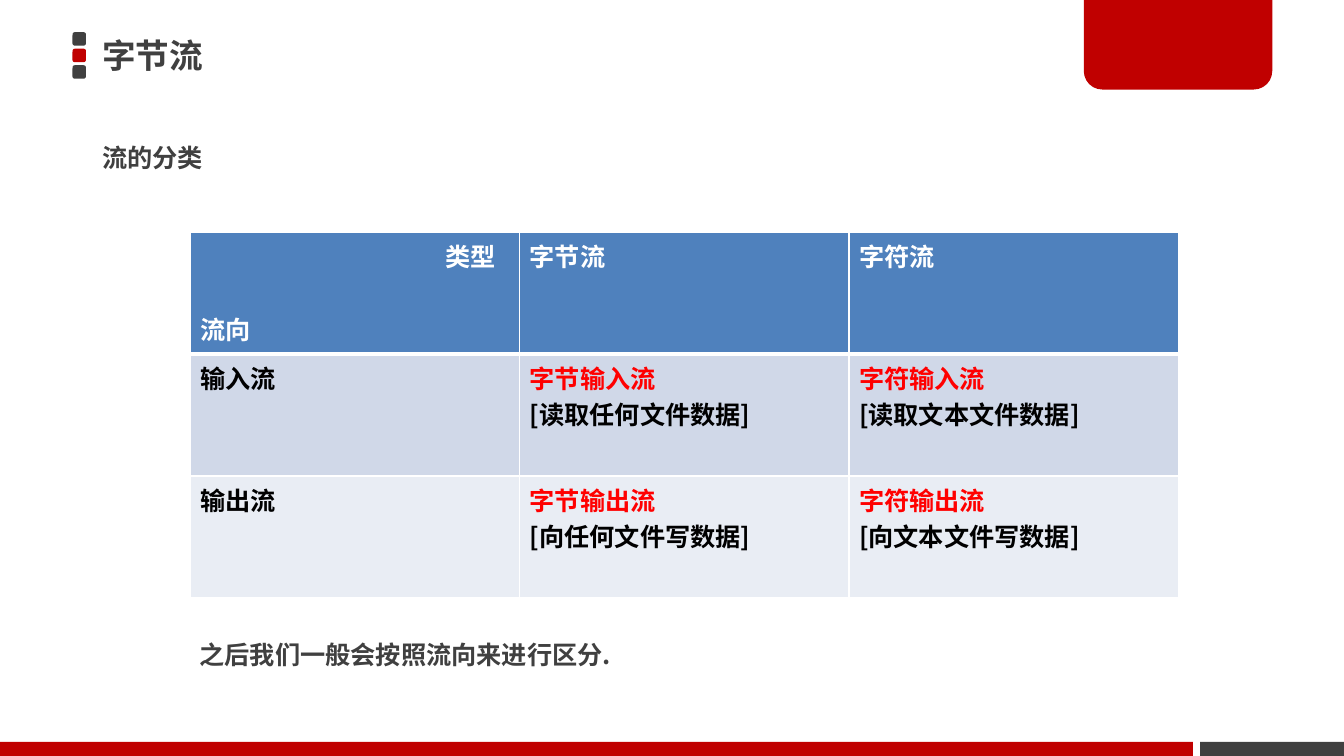
from lxml import etree
from pptx import Presentation
from pptx.dml.color import RGBColor
from pptx.enum import shapes, text
from pptx.oxml import ns
from pptx.util import Pt

RED = RGBColor(0xC0, 0x00, 0x00)
GRAY = RGBColor(0x40, 0x40, 0x40)
WHITE = RGBColor(0xFF, 0xFF, 0xFF)
BLACK = RGBColor(0x00, 0x00, 0x00)
KEY_RED = RGBColor(0xFF, 0x00, 0x00)
HEADER_BLUE = RGBColor(0x4F, 0x81, 0xBD)
BAND_DARK = RGBColor(0xD0, 0xD8, 0xE8)
BAND_LIGHT = RGBColor(0xE9, 0xED, 0xF4)
FONT = "Noto Sans CJK JP"

STREAMS = [
    (HEADER_BLUE, ["类型\n流向", "字节流", "字符流"]),
    (BAND_DARK, ["输入流", "字节输入流\n[读取任何文件数据]", "字符输入流\n[读取文本文件数据]"]),
    (BAND_LIGHT, ["输出流", "字节输出流\n[向任何文件写数据]", "字符输出流\n[向文本文件写数据]"]),
]


def style_paragraph(paragraph, size, color):
    for run in paragraph.runs:
        run.font.size = Pt(size)
        run.font.bold = True
        run.font.name = FONT
        run.font.color.rgb = color
        east_asian = etree.SubElement(run.font._element, ns.qn("a:ea"))
        east_asian.set("typeface", FONT)


def add_block(slide, kind, left, top, width, height, color):
    block = slide.shapes.add_shape(kind, Pt(left), Pt(top), Pt(width), Pt(height))
    block.shadow.inherit = False
    block.fill.solid()
    block.fill.fore_color.rgb = color
    block.line.fill.background()
    return block


def add_line_of_text(slide, wording, left, top, width, size):
    frame = slide.shapes.add_textbox(Pt(left), Pt(top), Pt(width), Pt(41)).text_frame
    frame.word_wrap = True
    frame.vertical_anchor = text.MSO_ANCHOR.MIDDLE
    frame.text = wording
    style_paragraph(frame.paragraphs[0], size, GRAY)


def add_border(cell, side, width):
    border = etree.Element(ns.qn(f"a:ln{side}"), w=str(Pt(width)))
    fill = etree.SubElement(border, ns.qn("a:solidFill"))
    etree.SubElement(fill, ns.qn("a:srgbClr"), val=str(WHITE))
    return border


def fill_cell(cell, wording, color, is_header, is_label):
    cell.text_frame.text = wording
    cell.fill.solid()
    cell.fill.fore_color.rgb = color
    for index, paragraph in enumerate(cell.text_frame.paragraphs):
        plain = WHITE if is_header else BLACK
        is_key = not is_header and not is_label and index == 0
        style_paragraph(paragraph, 18, KEY_RED if is_key else plain)
    properties = cell._tc.get_or_add_tcPr()
    for position, side in enumerate("LRTB"):
        width = 3 if is_header and side == "B" else 1
        properties.insert(position, add_border(cell, side, width))


def add_stream_table(slide):
    size = len(STREAMS)
    table = slide.shapes.add_table(
        size, size, Pt(136), Pt(166), Pt(705.6), Pt(261)
    ).table
    for row, (color, wordings) in enumerate(STREAMS):
        for column, wording in enumerate(wordings):
            fill_cell(table.cell(row, column), wording, color, row == 0, column == 0)
    corner = table.cell(0, 0)
    corner.margin_right = Pt(17)
    kind, direction = corner.text_frame.paragraphs
    kind.alignment = text.PP_ALIGN.RIGHT
    direction.space_before = Pt(26)


def main():
    deck = Presentation()
    deck.slide_width, deck.slide_height = Pt(960), Pt(540)
    slide = deck.slides.add_slide(deck.slide_layouts[6])
    preset = shapes.MSO_SHAPE

    for index, color in enumerate([GRAY, RED, GRAY]):
        add_block(slide, preset.ROUNDED_RECTANGLE, 51.8, 23 + 11.8 * index, 9.6, 9.6, color)
    add_block(slide, preset.RECTANGLE, 857.3, 530, 102.7, 10, GRAY)
    tab = add_block(slide, preset.ROUND_2_SAME_RECTANGLE, 774.2, -2, 134.6, 66, RED)
    tab.adjustments[0], tab.adjustments[1] = 0, 0.2
    add_block(slide, preset.RECTANGLE, 0, 530, 852, 10, RED)

    add_line_of_text(slide, "字节流", 66, 19, 690, 24)
    add_line_of_text(slide, "流的分类", 66, 92, 775, 18)
    add_stream_table(slide)
    add_line_of_text(slide, "之后我们一般会按照流向来进行区分.", 135.5, 447, 775, 18)

    deck.save("out.pptx")


if __name__ == "__main__":
    main()
